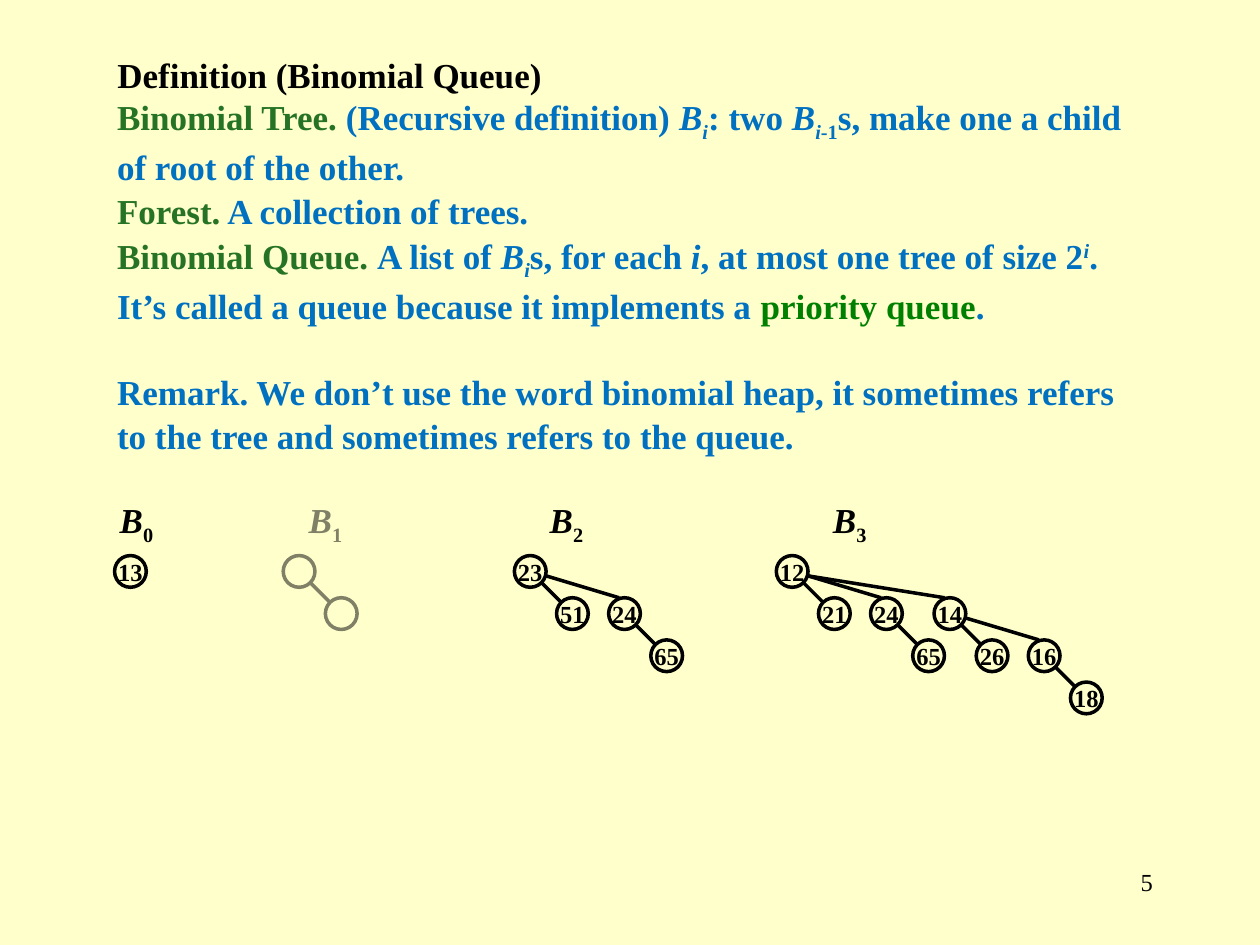
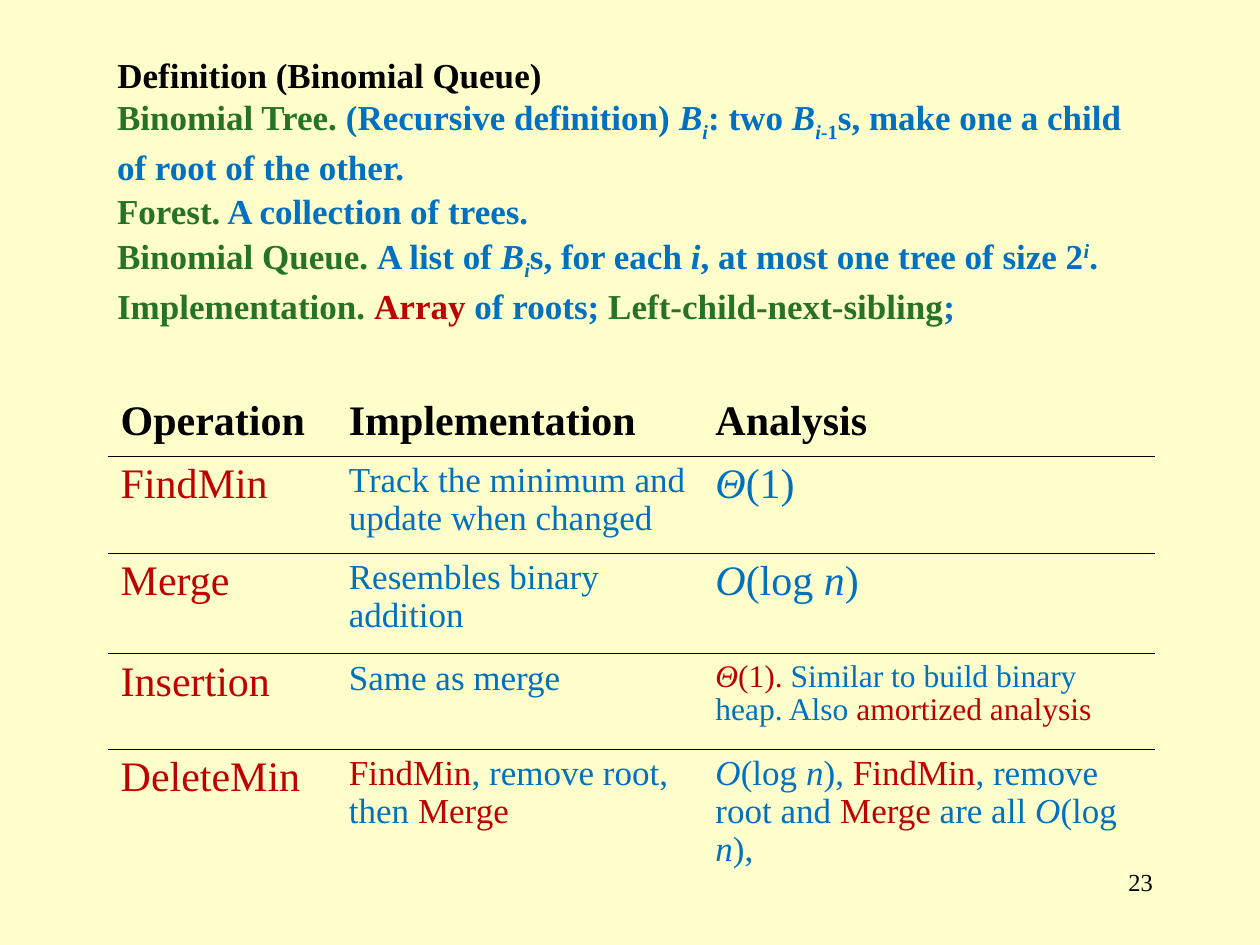
"""Build two slides that define binomial queues and list their operations."""
from lxml import etree
from pptx import Presentation
from pptx.dml.color import RGBColor
from pptx.enum.shapes import MSO_CONNECTOR, MSO_SHAPE
from pptx.enum.text import MSO_ANCHOR, MSO_AUTO_SIZE, PP_ALIGN
from pptx.oxml.ns import qn
from pptx.util import Cm, Pt

LEFT, CENTER, RIGHT = PP_ALIGN.LEFT, PP_ALIGN.CENTER, PP_ALIGN.RIGHT
TOP, MIDDLE = MSO_ANCHOR.TOP, MSO_ANCHOR.MIDDLE
NO_AUTOFIT = MSO_AUTO_SIZE.NONE
OVAL, RECT = MSO_SHAPE.OVAL, MSO_SHAPE.RECTANGLE
STRAIGHT = MSO_CONNECTOR.STRAIGHT

COLORS = {"paper": "FFFFCC", "black": "000000", "term": "267326",
          "blue": "0070C0", "green": "008000", "red": "C00000"}
FONT = "Times New Roman"
BASELINES = {"sub": "-25000", "sup": "30000"}
PLAIN_TABLE = "{2D5ABB26-0587-4C30-8999-92F81FD0307C}"

TEXT_LEFT, TEXT_TOP, TEXT_WIDTH = 2.11, 0.91, 21.18
LINE_PITCH = 0.85
TEXT_SPACING, TABLE_SPACING = 1.05, 0.97

NODE = 0.64
LEVEL_STEP = 0.85
CHILD_OFFSETS = [0.85, 1.9, 3.18]
ROOT_TOP, LABEL_TOP = 11.2, 9.93

TITLE = "Definition (Binomial Queue)"
DEFINITIONS = [
    [("Binomial Tree.", "term"), (" (Recursive definition) ", "blue"),
     ("B", "blue", "i"), ("i", "blue", "i sub"), (": two ", "blue"),
     ("B", "blue", "i"), ("i", "blue", "i sub"), ("-1", "blue", "sub"),
     ("s, make one a child of root of the other.", "blue")],
    [("Forest.", "term"), (" A collection of trees.", "blue")],
    [("Binomial Queue. ", "term"), ("A list of ", "blue"), ("B", "blue", "i"),
     ("i", "blue", "i sub"), ("s, for each ", "blue"), ("i", "blue", "i"),
     (", at most one tree of size 2", "blue"), ("i", "blue", "i sup")],
]
QUEUE_NOTE = [(". It’s called a queue because it implements a ", "blue"),
              ("priority queue", "green"), (".", "blue")]
REMARK = [("Remark. We don’t use the word binomial heap, it sometimes refers "
           "to the tree and sometimes refers to the queue.", "blue")]
IMPLEMENTATION = [("Implementation. ", "term"), ("Array", "red"), (" of roots; ", "blue"),
                  ("Left-child-next-sibling", "term"), (";", "blue")]

TREES = [
    (1.9, 2.31, ["13"]),
    (5.71, 5.71, ["", ""]),
    (10.57, 10.37, ["23", "51", "24", "65"]),
    (16.28, 15.65, ["12", "21", "24", "65", "14", "26", "16", "18"]),
]

LOG_N = [("O", "blue", "i"), ("(log ", "blue"), ("n", "blue", "i")]
HEADERS = ["Operation", "Implementation", "Analysis"]
OPERATIONS = [
    ("FindMin", [("Track the minimum and update when changed", "blue")],
     24, [("Θ", "blue", "i"), ("(1)", "blue")]),
    ("Merge", [("Resembles binary addition", "blue")],
     24, LOG_N + [(")", "blue")]),
    ("Insertion", [("Same as merge", "blue")],
     18, [("Θ", "red", "i"), ("(1). ", "red"),
          ("Similar to build binary heap. Also ", "blue"), ("amortized analysis", "red")]),
    ("DeleteMin", [("FindMin", "red"), (", remove root, then ", "blue"), ("Merge", "red")],
     20, LOG_N + [("), ", "blue"), ("FindMin", "red"), (", remove root and ", "blue"),
                  ("Merge", "red"), (" are all ", "blue")] + LOG_N + [("),", "blue")]),
]
COLUMN_WIDTHS = [4.6, 7.39, 9.12]
ROW_HEIGHTS = [1.27, 1.96, 2.03, 1.93, 2.79]


def rgb(name):
    """Return the named colour."""
    return RGBColor.from_string(COLORS[name])


def add_runs(p, runs, size, bold=False):
    """Add (text, colour, style) runs to a paragraph."""
    for text, color, *style in runs:
        marks = style[0].split() if style else []
        r = p.add_run()
        r.text = text
        r.font.name, r.font.size, r.font.bold = FONT, Pt(size), bold
        r.font.italic = "i" in marks
        r.font.color.rgb = rgb(color)
        for mark in marks:
            if mark in BASELINES:
                r._r.get_or_add_rPr().set("baseline", BASELINES[mark])


def add_text(s, box, paragraphs, size, bold=False, align=LEFT, spacing=1.0):
    """Add a wrapped text box and return its paragraphs."""
    tf = s.shapes.add_textbox(*map(Cm, box)).text_frame
    tf.word_wrap = True
    for i, runs in enumerate(paragraphs):
        p = tf.add_paragraph() if i else tf.paragraphs[0]
        p.alignment, p.line_spacing = align, spacing
        add_runs(p, runs, size, bold)
    return tf.paragraphs


def add_slide(prs, number):
    """Add a slide with the shared title and its page number."""
    s = prs.slides.add_slide(prs.slide_layouts[5])
    title = s.shapes.title
    title.left, title.top = Cm(TEXT_LEFT), Cm(TEXT_TOP)
    title.width, title.height = Cm(TEXT_WIDTH), Cm(1.15)
    tf = title.text_frame
    tf.vertical_anchor, tf.auto_size = TOP, NO_AUTOFIT
    p = tf.paragraphs[0]
    p.alignment, p.line_spacing = LEFT, TEXT_SPACING
    add_runs(p, [(TITLE, "black")], 20, True)
    add_text(s, (18.21, 17.35, 5.28, 1.27), [[(number, "black")]], 14, align=RIGHT)
    return s


def add_definitions(s, paragraphs, height):
    """Add the definition text below the title."""
    box = (TEXT_LEFT, TEXT_TOP + LINE_PITCH, TEXT_WIDTH, height)
    return add_text(s, box, paragraphs, 20, True, spacing=TEXT_SPACING)


def add_node(s, x, y, key):
    """Add a tree node with its key, if it has one."""
    sp = s.shapes.add_shape(OVAL, Cm(x), Cm(y), Cm(NODE), Cm(NODE))
    sp.shadow.inherit = False
    sp.fill.background()
    sp.line.color.rgb, sp.line.width = rgb("black"), Pt(2)
    if key:
        tf = sp.text_frame
        tf.word_wrap, tf.vertical_anchor = False, MIDDLE
        tf.paragraphs[0].alignment = CENTER
        add_runs(tf.paragraphs[0], [(key, "black")], 14, True)


def add_edge(s, x1, y1, x2, y2):
    """Add a line between two nodes."""
    line = s.shapes.add_connector(STRAIGHT, Cm(x1), Cm(y1), Cm(x2), Cm(y2))
    line.line.color.rgb, line.line.width = rgb("black"), Pt(2)
    etree.SubElement(line._element.spPr, qn("a:effectLst"))


def add_tree(s, degree, x, y, keys):
    """Draw a binomial tree recursively, taking keys in preorder."""
    add_node(s, x, y, next(keys))
    for child, offset in enumerate(CHILD_OFFSETS[:degree]):
        cx, cy = x + offset, y + LEVEL_STEP
        add_tree(s, child, cx, cy, keys)
        if child == 0:
            add_edge(s, x + 0.83 * NODE, y + 0.83 * NODE, cx + 0.17 * NODE, cy + 0.17 * NODE)
        else:
            add_edge(s, x + NODE, y + 0.64 * NODE, cx + 0.33 * NODE, cy)


def add_veil(s, x, y, size):
    """Fade a square area with a half-transparent cover."""
    sp = s.shapes.add_shape(RECT, Cm(x), Cm(y), Cm(size), Cm(size))
    sp.shadow.inherit = False
    sp.fill.solid()
    sp.fill.fore_color.rgb = rgb("paper")
    sp.line.fill.background()
    clr = sp._element.spPr.find(f".//{qn('a:srgbClr')}")
    etree.SubElement(clr, qn("a:alpha"), val="50000")


def add_bottom_border(cell):
    """Draw a thin line under a table cell."""
    ln = etree.SubElement(cell._tc.get_or_add_tcPr(), qn("a:lnB"), w=str(Pt(0.45)))
    fill = etree.SubElement(ln, qn("a:solidFill"))
    etree.SubElement(fill, qn("a:srgbClr"), val=COLORS["black"])


def add_operations(s):
    """Add the table of operations."""
    rows = [[(24, True, [(h, "black")]) for h in HEADERS]]
    for name, method, size, analysis in OPERATIONS:
        rows.append([(24, False, [(name, "red")]), (20, False, method),
                     (size, False, analysis)])
    table = s.shapes.add_table(len(rows), len(HEADERS), Cm(2.18), Cm(7.92),
                               Cm(sum(COLUMN_WIDTHS)), Cm(sum(ROW_HEIGHTS))).table
    table._tbl.tblPr.find(qn("a:tableStyleId")).text = PLAIN_TABLE
    table.horz_banding = False
    for column, width in zip(table.columns, COLUMN_WIDTHS):
        column.width = Cm(width)
    for i, (row, height) in enumerate(zip(rows, ROW_HEIGHTS)):
        table.rows[i].height = Cm(height)
        for j, (size, bold, runs) in enumerate(row):
            cell = table.cell(i, j)
            if i < len(rows) - 1:
                add_bottom_border(cell)
            cell.fill.background()
            p = cell.text_frame.paragraphs[0]
            p.line_spacing = TABLE_SPACING
            add_runs(p, runs, size, bold)


def build_trees_slide(prs):
    """Build the slide with the definitions and example trees."""
    s = add_slide(prs, "5")
    *first, queue = DEFINITIONS
    paragraphs = add_definitions(s, [*first, queue + QUEUE_NOTE, REMARK], 7.28)
    paragraphs[-1].space_before = Pt(24)
    for degree, (label_x, root_x, keys) in enumerate(TREES):
        label = [("B", "black", "i"), (str(degree), "black", "sub")]
        add_text(s, (label_x, LABEL_TOP, 1.7, 1.22), [label], 20, True, CENTER)
        add_tree(s, degree, root_x, ROOT_TOP, iter(keys))
    add_veil(s, 5.08, LABEL_TOP, 2.97)


def build_operations_slide(prs):
    """Build the slide with the implementation and operations."""
    s = add_slide(prs, "23")
    *first, queue = DEFINITIONS
    add_operations(s)
    add_definitions(s, [*first, queue + [(".", "blue")], IMPLEMENTATION], 4.71)


def main():
    """Build and save the presentation."""
    prs = Presentation()
    prs.slide_width, prs.slide_height = Cm(25.4), Cm(19.05)
    fill = prs.slide_master.background.fill
    fill.solid()
    fill.fore_color.rgb = rgb("paper")
    build_trees_slide(prs)
    build_operations_slide(prs)
    prs.save("out.pptx")


if __name__ == "__main__":
    main()
